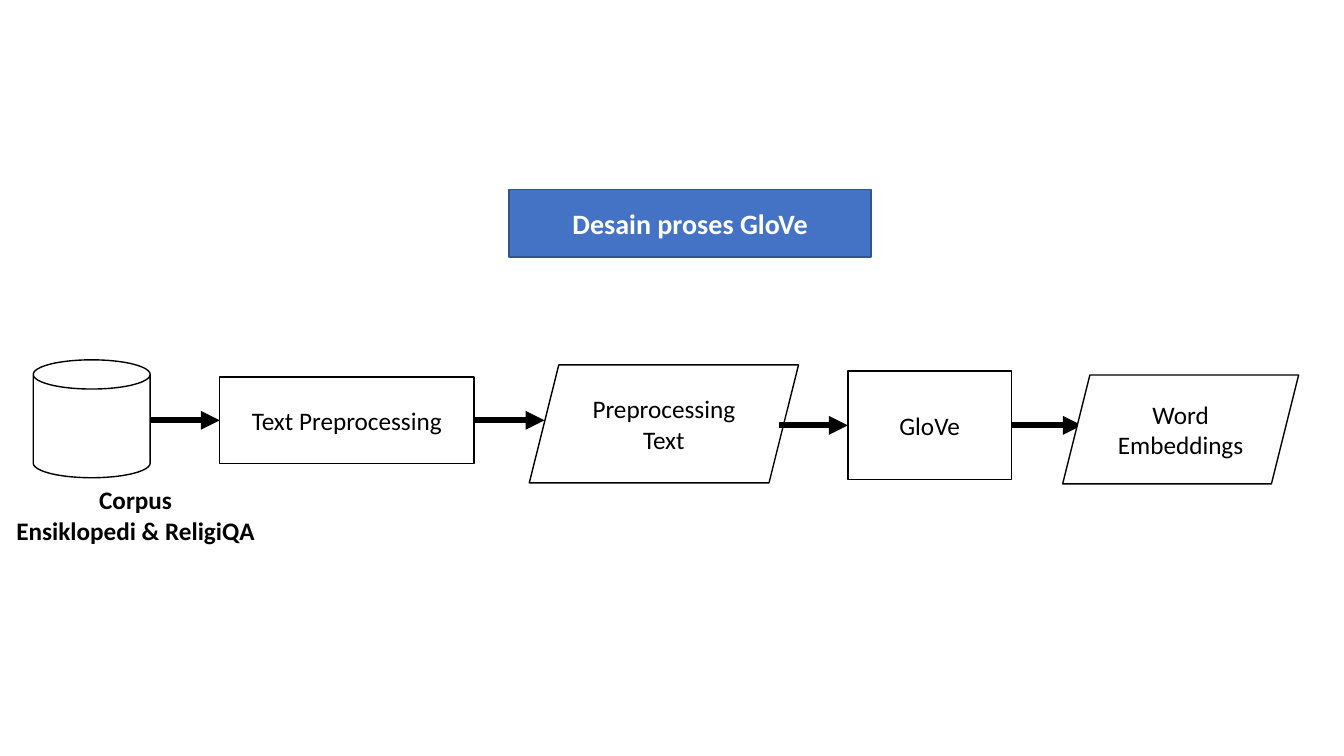
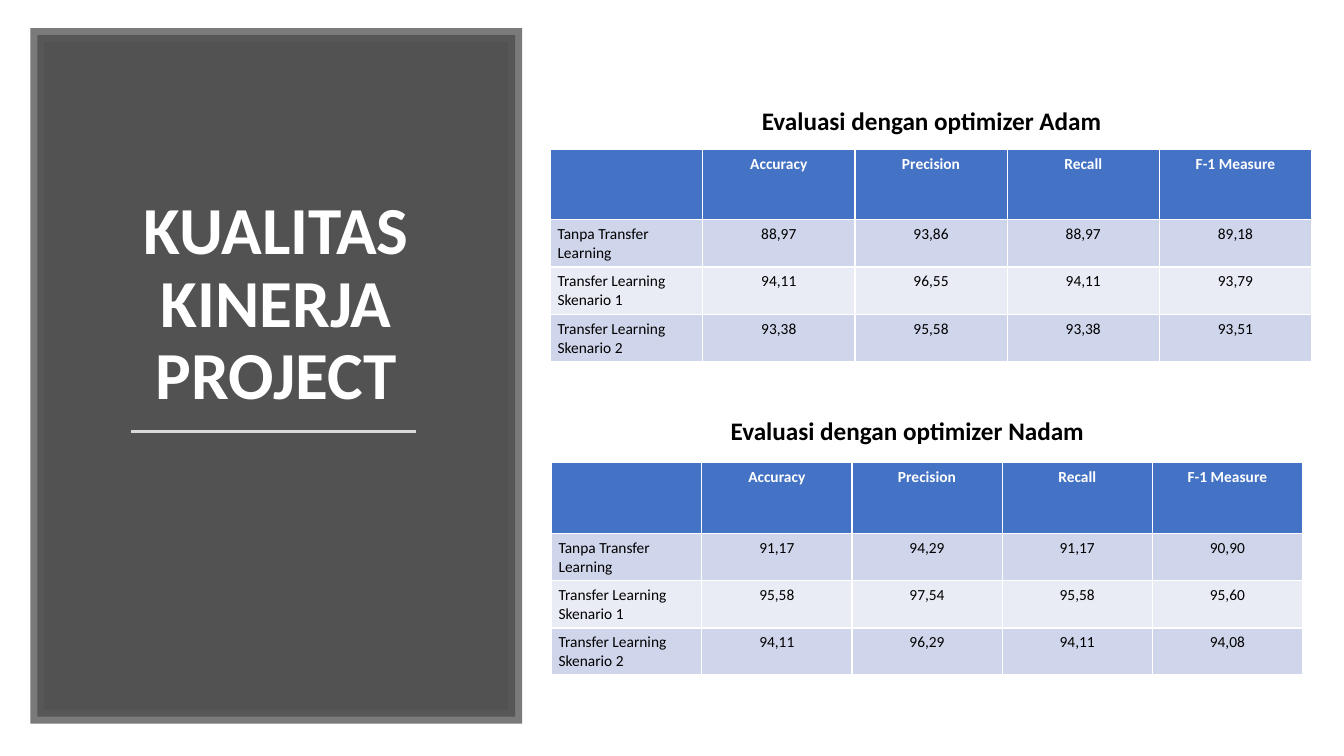
"""Build two slides: the GloVe process flow and the project performance tables."""
from dataclasses import dataclass
from typing import Optional

from lxml.etree import SubElement
from pptx import Presentation
from pptx.dml.color import RGBColor
from pptx.enum.shapes import MSO_CONNECTOR, MSO_SHAPE
from pptx.enum.text import MSO_ANCHOR, MSO_AUTO_SIZE, PP_ALIGN
from pptx.oxml.ns import qn
from pptx.shapes.autoshape import Shape
from pptx.shapes.connector import Connector
from pptx.slide import Slide
from pptx.text.text import TextFrame
from pptx.util import Emu, Pt

EMU_PER_PX = 9144
TOP, LEFT, BOTTOM, RIGHT = range(4)


@dataclass(frozen=True)
class Theme:
    """Colours, font and type sizes shared by the slides."""

    font: str = "Calibri"
    ink: str = "000000"
    paper: str = "FFFFFF"
    accent: str = "4472C4"
    accent_edge: str = "325491"
    panel: str = "404040"
    panel_edge: str = "595959"
    rule: str = "D9D9D9"
    bands: tuple[str, str] = ("CFD5EA", "E9EBF5")
    title_size: int = 48
    banner_size: int = 20
    body_size: int = 18
    cell_size: int = 11


THEME = Theme()


@dataclass(frozen=True)
class Area:
    """A rectangle in px."""

    left: int
    top: int
    width: int
    height: int

    def emu(self) -> tuple[Emu, ...]:
        """Return left, top, width and height as EMU."""
        return tuple(px(value) for value in (self.left, self.top, self.width, self.height))


@dataclass(frozen=True)
class TextStyle:
    """The look of one paragraph."""

    size: int = THEME.body_size
    color: str = THEME.ink
    bold: bool = False
    align: PP_ALIGN = PP_ALIGN.CENTER


@dataclass(frozen=True)
class Node:
    """One step of the process flow."""

    kind: MSO_SHAPE
    area: Area
    text: str = ""


@dataclass(frozen=True)
class Arrow:
    """A horizontal arrow, with the rectangles it joins."""

    start: int
    end: int
    level: int
    source: Optional[str] = None
    target: Optional[str] = None


@dataclass(frozen=True)
class Evaluation:
    """A heading and the table of scores below it."""

    heading: str
    heading_area: Area
    left: int
    top: int
    column_width: int
    scores: tuple[tuple[str, ...], ...]


HEADING = TextStyle(bold=True)
METRICS = ("", "Accuracy", "Precision", "Recall", "F-1 Measure")
SCENARIOS = ("Tanpa Transfer Learning", "Transfer Learning Skenario 1", "Transfer Learning Skenario 2")
ROW_HEIGHTS = (70, 47, 47, 46)

NODES = {
    "corpus": Node(MSO_SHAPE.CAN, Area(33, 357, 116, 117)),
    "preprocessing": Node(MSO_SHAPE.RECTANGLE, Area(218, 374, 252, 86), "Text Preprocessing"),
    "clean text": Node(MSO_SHAPE.PARALLELOGRAM, Area(525, 362, 267, 117), "Preprocessing\nText"),
    "glove": Node(MSO_SHAPE.RECTANGLE, Area(841, 368, 162, 108), "GloVe"),
}
EMBEDDINGS = Node(MSO_SHAPE.PARALLELOGRAM, Area(1054, 372, 234, 108), "Word\nEmbeddings")
ARROWS = (
    Arrow(149, 218, 417, target="preprocessing"),
    Arrow(470, 540, 417, source="preprocessing"),
    Arrow(773, 841, 422, target="glove"),
    Arrow(1003, 1073, 422, source="glove"),
)
EVALUATIONS = (
    Evaluation(
        "Evaluasi dengan optimizer Adam", Area(557, 100, 734, 40), 546, 148, 151,
        (("88,97", "93,86", "88,97", "89,18"),
         ("94,11", "96,55", "94,11", "93,79"),
         ("93,38", "95,58", "93,38", "93,51")),
    ),
    Evaluation(
        "Evaluasi dengan optimizer Nadam", Area(533, 407, 734, 40), 547, 459, 149,
        (("91,17", "94,29", "91,17", "90,90"),
         ("95,58", "97,54", "95,58", "95,60"),
         ("94,11", "96,29", "94,11", "94,08")),
    ),
)


def px(value: int) -> Emu:
    """Turn px into EMU."""
    return Emu(value * EMU_PER_PX)


def rgb(color: str) -> RGBColor:
    """Turn a hex string into a colour."""
    return RGBColor.from_string(color)


def write(frame: TextFrame, text: str, style: TextStyle) -> None:
    """Put one styled paragraph into a text frame."""
    frame.word_wrap = True
    para = frame.paragraphs[0]
    para.text = text
    para.alignment = style.align
    para.font.name = THEME.font
    para.font.size = Pt(style.size)
    para.font.bold = style.bold
    para.font.color.rgb = rgb(style.color)


def add_box(page: Slide, node: Node, fill: str, edge: str, style: TextStyle = TextStyle()) -> Shape:
    """Draw a filled, outlined shape with centred text."""
    box = page.shapes.add_shape(node.kind, *node.area.emu())
    box.shadow.inherit = False
    box.fill.solid()
    box.fill.fore_color.rgb = rgb(fill)
    box.line.color.rgb = rgb(edge)
    box.line.width = Pt(1)
    if node.text:
        box.text_frame.vertical_anchor = MSO_ANCHOR.MIDDLE
        write(box.text_frame, node.text, style)
    return box


def add_label(page: Slide, area: Area, text: str, style: TextStyle) -> TextFrame:
    """Draw a text box that grows with its text."""
    frame = page.shapes.add_textbox(*area.emu()).text_frame
    write(frame, text, style)
    frame.auto_size = MSO_AUTO_SIZE.SHAPE_TO_FIT_TEXT
    return frame


def add_line(page: Slide, start: int, end: int, level: int, color: str, width: float) -> Connector:
    """Draw a horizontal line without a shadow."""
    line = page.shapes.add_connector(MSO_CONNECTOR.STRAIGHT, px(start), px(level), px(end), px(level))
    line.line.color.rgb = rgb(color)
    line.line.width = Pt(width)
    SubElement(line.element.spPr, qn("a:effectLst"))
    return line


def add_arrow(page: Slide, arrow: Arrow, boxes: dict[str, Shape]) -> None:
    """Draw an arrow and join it to its rectangles."""
    line = add_line(page, arrow.start, arrow.end, arrow.level, THEME.ink, 4.5)
    SubElement(line.get_or_add_ln(), qn("a:tailEnd"), type="triangle")
    if arrow.source:
        line.begin_connect(boxes[arrow.source], RIGHT)
    if arrow.target:
        line.end_connect(boxes[arrow.target], LEFT)


def add_panel(page: Slide) -> None:
    """Draw the translucent dark panel with its wide edge."""
    node = Node(MSO_SHAPE.RECTANGLE, Area(37, 35, 474, 676))
    panel = add_box(page, node, THEME.panel, THEME.panel_edge)
    panel.line.width = Pt(10)
    edge = panel.get_or_add_ln() if hasattr(panel, "get_or_add_ln") else panel.element.spPr.find(qn("a:ln"))
    SubElement(edge, qn("a:miter"), lim="800000")
    fill = panel.element.spPr.find(qn("a:solidFill"))
    for paint, opacity in ((fill, 90), (edge.find(qn("a:solidFill")), 80)):
        SubElement(paint[0], qn("a:alpha"), val=str(opacity * 1000))


def add_evaluation(page: Slide, evaluation: Evaluation) -> None:
    """Draw a heading and its banded score table."""
    add_label(page, evaluation.heading_area, evaluation.heading, HEADING)
    rows = (METRICS, *((name, *scores) for name, scores in zip(SCENARIOS, evaluation.scores)))
    area = Area(evaluation.left, evaluation.top, evaluation.column_width * len(METRICS), sum(ROW_HEIGHTS))
    table = page.shapes.add_table(len(rows), len(METRICS), *area.emu()).table
    for column in table.columns:
        column.width = px(evaluation.column_width)
    for row_index, values in enumerate(rows):
        table.rows[row_index].height = px(ROW_HEIGHTS[row_index])
        is_header = row_index == 0
        fill = THEME.accent if is_header else THEME.bands[(row_index - 1) % 2]
        for column_index, value in enumerate(values):
            cell = table.cell(row_index, column_index)
            cell.fill.solid()
            cell.fill.fore_color.rgb = rgb(fill)
            cell.margin_left = cell.margin_right = px(7)
            cell.margin_top = cell.margin_bottom = px(5)
            align = PP_ALIGN.CENTER if column_index else PP_ALIGN.LEFT
            color = THEME.paper if is_header else THEME.ink
            write(cell.text_frame, value, TextStyle(THEME.cell_size, color, is_header, align))


def build_process(page: Slide) -> None:
    """Draw the GloVe process flow."""
    boxes = {name: add_box(page, node, THEME.paper, THEME.ink) for name, node in NODES.items()}
    for arrow in ARROWS:
        add_arrow(page, arrow, boxes)
    add_box(page, EMBEDDINGS, THEME.paper, THEME.ink)
    add_label(page, Area(0, 476, 269, 71), "Corpus\nEnsiklopedi & ReligiQA", HEADING)
    banner = Node(MSO_SHAPE.RECTANGLE, Area(505, 188, 359, 67), "Desain proses GloVe")
    add_box(page, banner, THEME.accent, THEME.accent_edge, TextStyle(THEME.banner_size, THEME.paper, True))


def build_performance(page: Slide) -> None:
    """Draw the title panel and both evaluations."""
    add_panel(page)
    style = TextStyle(THEME.title_size, THEME.paper, True)
    title = add_label(page, Area(74, 100, 400, 316), "KUALITAS KINERJA PROJECT", style)
    title.auto_size = MSO_AUTO_SIZE.NONE
    title.vertical_anchor = MSO_ANCHOR.BOTTOM
    title.paragraphs[0].line_spacing = 0.9
    title.paragraphs[0].space_after = Pt(6)
    add_line(page, 130, 413, 428, THEME.rule, 1.75)
    for evaluation in EVALUATIONS:
        add_evaluation(page, evaluation)


def main() -> None:
    """Build and save the deck."""
    deck = Presentation()
    deck.slide_width, deck.slide_height = px(1333), px(750)
    blank = deck.slide_layouts[6]
    for build in (build_process, build_performance):
        build(deck.slides.add_slide(blank))
    deck.save("out.pptx")


if __name__ == "__main__":
    main()
